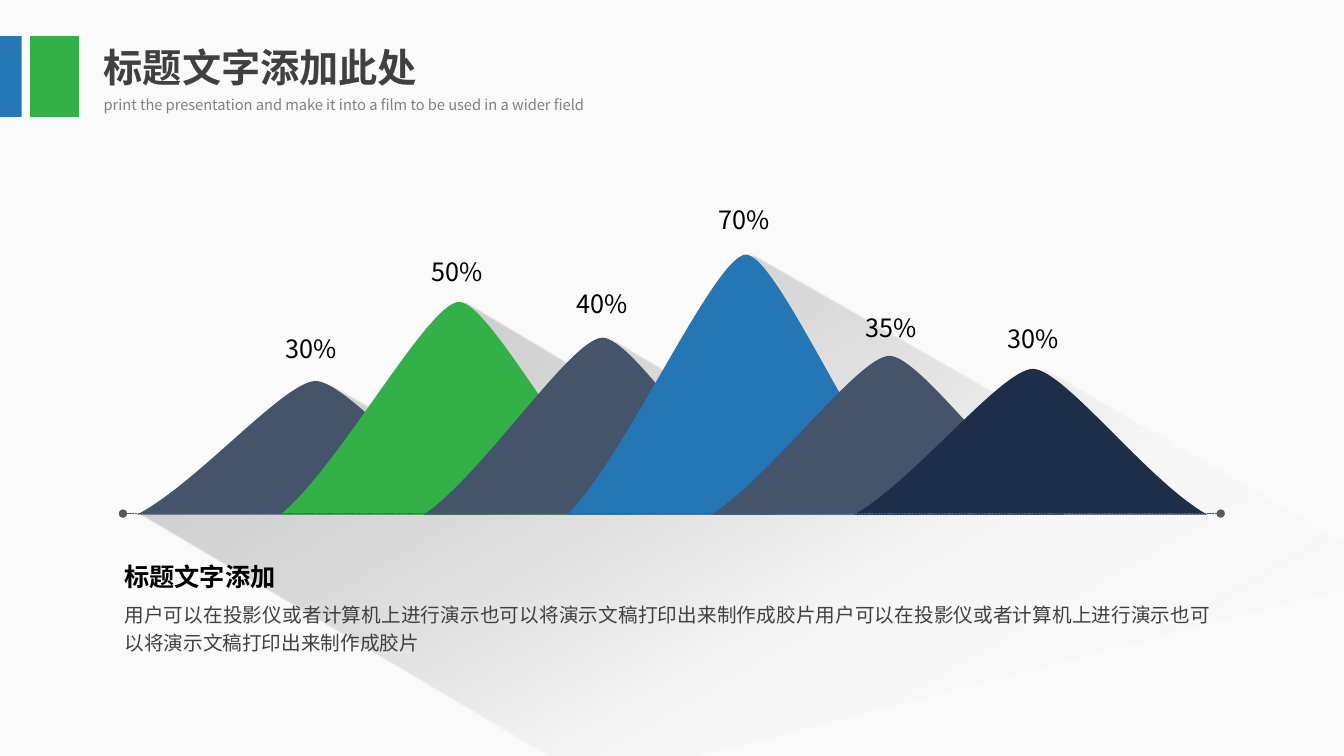
from dataclasses import dataclass

from lxml.etree import SubElement
from pptx import Presentation
from pptx.dml.color import RGBColor
from pptx.enum.dml import MSO_LINE
from pptx.enum.shapes import MSO_CONNECTOR, MSO_SHAPE
from pptx.enum.text import MSO_ANCHOR, MSO_AUTO_SIZE, PP_ALIGN
from pptx.oxml import parse_xml
from pptx.oxml.ns import nsdecls, qn
from pptx.util import Inches, Pt

FONT = "Noto Sans CJK SC"
BACKGROUND = RGBColor(0xFA, 0xFA, 0xFA)
BLACK = RGBColor(0, 0, 0)
DARK_GRAY = RGBColor(0x40, 0x40, 0x40)
LINE_GRAY = RGBColor(0x59, 0x59, 0x59)
MID_GRAY = RGBColor(0x80, 0x80, 0x80)
PALE_GRAY = RGBColor(0xF2, 0xF2, 0xF2)
GREEN = RGBColor(0x33, 0xB0, 0x48)
BLUE = RGBColor(0x25, 0x76, 0xB5)
SLATE = RGBColor(0x44, 0x54, 0x6A)
NAVY = RGBColor(0x1D, 0x2E, 0x4B)

# The grid has ten columns and ten rows to the inch
CELL = Inches(0.1)
COLUMNS, ROWS = 133.33, 75

# Each mountain: label, colour, height, label column and label row
MOUNTAINS = [
    ("30%", SLATE, 13.25, 13.65, 12.8),
    ("50%", GREEN, 21.1, 28.15, 5.1),
    ("40%", SLATE, 17.55, 42.55, 8.3),
    ("70%", BLUE, 25.8, 56.6, 0),
    ("35%", SLATE, 15.75, 71.2, 10.7),
    ("30%", NAVY, 14.45, 85.3, 11.8),
]
MOUNTAIN_WIDTH, MOUNTAIN_STEP, FIRST_MOUNTAIN = 35, 14.23, 1.4
# Bezier points of both slopes, in percent of a mountain's width and height
MOUNTAIN_START = (0, 100)
SLOPES = [
    [(16.6, 77.7), (41.7, 0.4), (50.6, 0)],
    [(59.4, 0), (83.4, 77.7), (100, 100)],
]
SHADOW_OUTLINE = [
    (127.1, 38.3), (127.1, 37.6), (46.8, 58.4), (1.7, 31.8), (20.6, 19.1),
    (30.4, 24.6), (34, 10.9), (46.3, 18.2), (48.9, 14.8), (56.7, 19.4),
    (62.5, 6.2), (87.1, 20.2), (91.4, 17.5),
]
# Gradient stops: position, colour and opacity in percent
SHADOW_STOPS = [(0, BLACK, 20), (61, PALE_GRAY, 34), (100, PALE_GRAY, 0)]


@dataclass
class Box:
    left: float
    top: float
    width: float
    height: float

    def inside(self, left, top, width, height):
        return Box(self.left + left, self.top + top, width, height)

    def lengths(self):
        sides = (self.left, self.top, self.width, self.height)
        return [int(side * CELL) for side in sides]


def write_text(slide, box, text, size, color, bold=False, spacing=1.2,
               align=PP_ALIGN.LEFT, placeholder=None):
    shape = placeholder or slide.shapes.add_textbox(*box.lengths())
    shape.left, shape.top, shape.width, shape.height = box.lengths()
    if placeholder is not None:  # bring in front of the shapes drawn so far
        shape.element.getparent().append(shape.element)
    frame = shape.text_frame
    frame.word_wrap = True
    frame.auto_size = MSO_AUTO_SIZE.NONE
    frame.vertical_anchor = MSO_ANCHOR.TOP
    paragraph = frame.paragraphs[0]
    paragraph.alignment = align
    paragraph.line_spacing = spacing
    paragraph.space_before = Pt(0)
    if placeholder is not None:
        properties = paragraph._p.get_or_add_pPr()
        properties.set("marL", "0")
        properties.set("indent", "0")
        SubElement(properties, qn("a:buNone"))
    run = paragraph.add_run()
    run.text = text
    run.font.name = FONT
    run.font.size = Pt(size)
    run.font.bold = bold
    run.font.color.rgb = color
    SubElement(run._r.get_or_add_rPr(), qn("a:ea")).set("typeface", FONT)


def fill_plain(shape, color):
    shape.shadow.inherit = False
    shape.fill.solid()
    shape.fill.fore_color.rgb = color
    shape.line.fill.background()


def draw_outline(slide, points, color):
    cells = [(x * CELL, y * CELL) for x, y in points]
    builder = slide.shapes.build_freeform(*cells[0])
    builder.add_line_segments(cells[1:], close=True)
    shape = builder.convert_to_shape()
    fill_plain(shape, color)
    return shape


def draw_mountain(slide, box, color):
    # A triangle from foot to peak to foot, whose sides become curves
    corners = [MOUNTAIN_START] + [slope[-1] for slope in SLOPES]
    shape = draw_outline(slide, [(box.left + x / 100 * box.width,
                                  box.top + y / 100 * box.height)
                                 for x, y in corners], color)
    outline = next(shape.element.iter(qn("a:path")))
    width, height = int(outline.get("w")), int(outline.get("h"))
    sides = list(outline.iter(qn("a:lnTo")))
    for side, slope in zip(sides, SLOPES):
        curve = parse_xml(f'<a:cubicBezTo {nsdecls("a")}/>')
        for x, y in slope:
            point = SubElement(curve, qn("a:pt"))
            point.set("x", str(round(x / 100 * width)))
            point.set("y", str(round(y / 100 * height)))
        outline.replace(side, curve)


def draw_shadow(slide, box):
    points = [(box.left + x, box.top + y) for x, y in SHADOW_OUTLINE]
    shape = draw_outline(slide, points, BLACK)
    stops = "".join(
        f'<a:gs pos="{position * 1000}"><a:srgbClr val="{color}">'
        f'<a:alpha val="{opacity * 1000}"/></a:srgbClr></a:gs>'
        for position, color, opacity in SHADOW_STOPS)
    gradient = parse_xml(
        f'<a:gradFill {nsdecls("a")}><a:gsLst>{stops}</a:gsLst>'
        f'<a:lin ang="{60 * 60000}" scaled="0"/></a:gradFill>')
    properties = shape.element.spPr
    properties.replace(properties.find(qn("a:solidFill")), gradient)


def draw_baseline(slide, box):
    left, top, width, height = box.lengths()
    line = slide.shapes.add_connector(MSO_CONNECTOR.STRAIGHT, left, top,
                                      left + width, top + height)
    line.line.color.rgb = LINE_GRAY
    line.line.width = Pt(0.5)
    line.line.dash_style = MSO_LINE.SQUARE_DOT
    outline = line.line._get_or_add_ln()
    for end in ("a:headEnd", "a:tailEnd"):
        SubElement(outline, qn(end)).set("type", "oval")
    SubElement(line.element.spPr, qn("a:effectLst"))


def build_header(slide, box):
    # Title and subtitle
    write_text(slide, box.inside(9.3, 0.2, 36, 5.7), "标题文字添加此处", 28,
               DARK_GRAY, bold=True, spacing=1.0, placeholder=slide.shapes.title)
    write_text(slide, box.inside(9.3, 5.05, 53.4, 3),
               "print the presentation and make it into a film to be used "
               "in a wider field", 10.5, MID_GRAY)
    # Colour bars at the slide edge
    for left, width, color in [(3, 4.85, GREEN), (0, 2.15, BLUE)]:
        bar = slide.shapes.add_shape(
            MSO_SHAPE.RECTANGLE, *box.inside(left, 0, width, box.height).lengths())
        fill_plain(bar, color)


def build_mountain_chart(slide, box):
    draw_shadow(slide, box)
    for index, (_, color, height, _, _) in enumerate(MOUNTAINS):
        left = FIRST_MOUNTAIN + index * MOUNTAIN_STEP
        draw_mountain(slide, box.inside(left, box.height - height,
                                        MOUNTAIN_WIDTH, height), color)
    draw_baseline(slide, box.inside(0, box.height - 0.1, box.width, 0))
    for label, _, _, left, top in MOUNTAINS:
        write_text(slide, box.inside(left, top, 10, 4.4), label, 18, BLACK,
                   align=PP_ALIGN.CENTER)


def build_description(slide, box):
    sentence = "用户可以在投影仪或者计算机上进行演示也可以将演示文稿打印出来制作成胶片"
    write_text(slide, box.inside(0, 4.2, box.width, 6.7), sentence * 2, 14,
               DARK_GRAY, align=PP_ALIGN.JUSTIFY,
               placeholder=slide.placeholders[1])
    write_text(slide, box.inside(0, 0, 22.4, 4.3), "标题文字添加", 18, BLACK,
               bold=True, align=PP_ALIGN.JUSTIFY)


presentation = Presentation()
presentation.slide_width = int(COLUMNS * CELL)
presentation.slide_height = int(ROWS * CELL)
slide = presentation.slides.add_slide(presentation.slide_layouts[1])
slide.background.fill.solid()
slide.background.fill.fore_color.rgb = BACKGROUND
build_mountain_chart(slide, Box(12.2, 19.2, 108.9, 31.85))
build_header(slide, Box(0, 3.6, COLUMNS, 8))
build_description(slide, Box(11.35, 54.6, 109.8, 10.9))
presentation.save("out.pptx")
